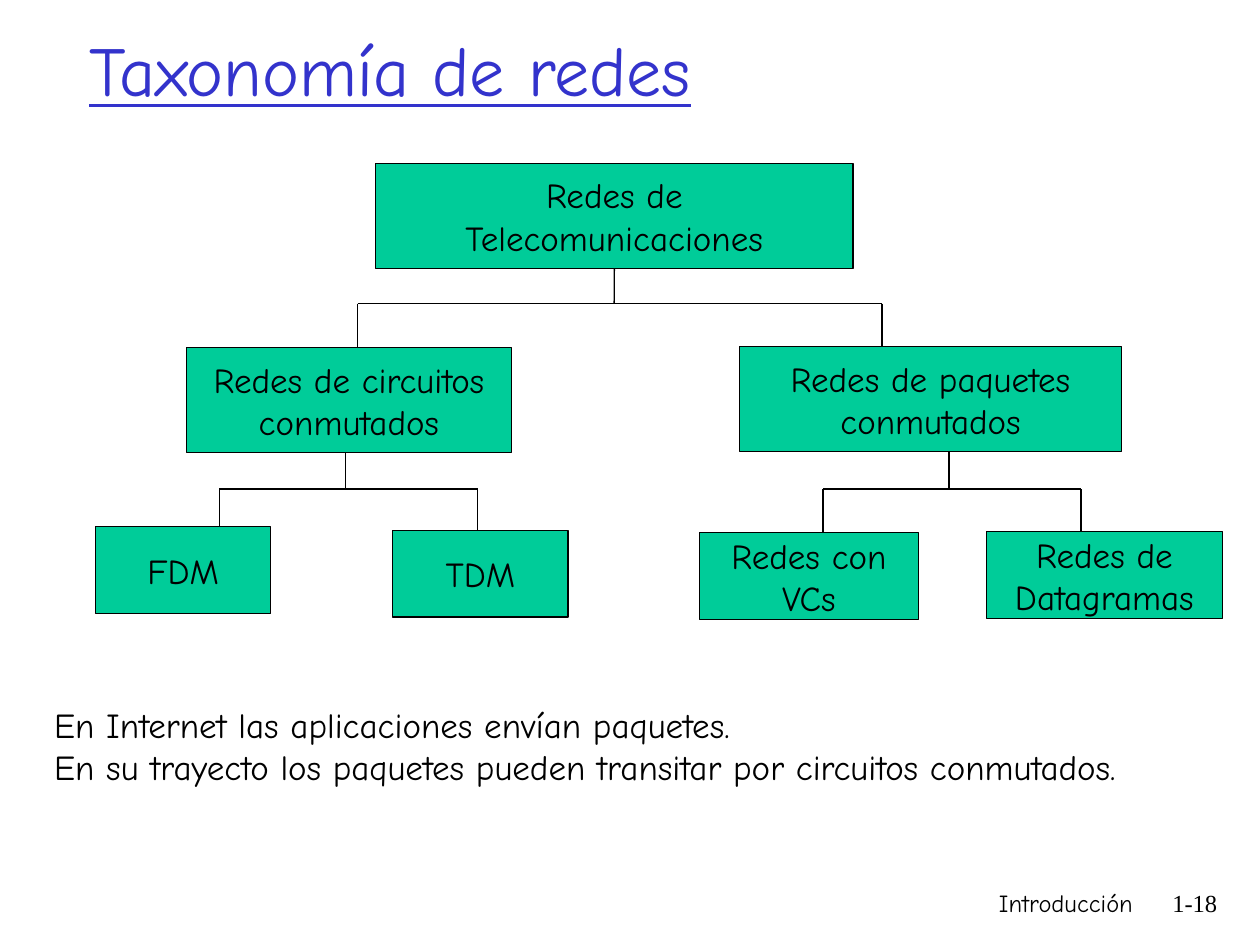
from lxml.etree import SubElement
from pptx import Presentation
from pptx.dml.color import RGBColor
from pptx.enum.shapes import MSO_CONNECTOR, MSO_SHAPE
from pptx.enum.text import MSO_ANCHOR, PP_ALIGN
from pptx.oxml.ns import qn
from pptx.util import Cm, Pt

COLORS = {"title": "3333CC", "box": "00CC99", "ink": "000000"}
FONT = "Comic Neue"

presentation = Presentation()
presentation.slide_width = Cm(25.4)
presentation.slide_height = Cm(19.05)
slide = presentation.slides.add_slide(presentation.slide_layouts[6])


def add_styled_run(paragraph, text, size, color="ink", font=FONT):
    run = paragraph.add_run()
    run.text = text
    run.font.size = Pt(size)
    run.font.name = font
    run.font.color.rgb = RGBColor.from_string(COLORS[color])
    return run


def add_line(start_x, start_y, end_x, end_y):
    line = slide.shapes.add_connector(
        MSO_CONNECTOR.STRAIGHT, Cm(start_x), Cm(start_y), Cm(end_x), Cm(end_y))
    line.line.color.rgb = RGBColor.from_string(COLORS["ink"])
    line.line.width = Pt(0.75)
    SubElement(line.element.spPr, qn("a:effectLst"))
    return line


# Title
title = slide.shapes.add_textbox(Cm(1.55), Cm(0), Cm(21.59), Cm(2.77))
title.text_frame.word_wrap = True
title.text_frame.vertical_anchor = MSO_ANCHOR.MIDDLE
title_run = add_styled_run(
    title.text_frame.paragraphs[0], "Taxonomía de redes", 40, "title")
title_run.font.underline = True

# Boxes of the tree: left, top, width, height, lines of text
boxes = {
    "telecom": (7.57, 3.3, 9.63, 2.11, ["Redes de", "Telecomunicaciones"]),
    "circuits": (3.76, 7.01, 6.55, 2.11, ["Redes de circuitos", "conmutados"]),
    "packets": (14.91, 6.99, 7.7, 2.11, ["Redes de paquetes", "conmutados"]),
    "fdm": (1.93, 10.62, 3.53, 1.75, ["FDM"]),
    "tdm": (7.92, 10.69, 3.53, 1.75, ["TDM"]),
    "vcs": (14.1, 10.74, 4.42, 1.75, ["Redes con", "VCs"]),
    "datagrams": (19.89, 10.72, 4.75, 1.75, ["Redes de", "Datagramas"]),
}
box_shapes = {}
for name, (left, top, width, height, lines) in boxes.items():
    shape = slide.shapes.add_shape(
        MSO_SHAPE.RECTANGLE, Cm(left), Cm(top), Cm(width), Cm(height))
    shape.shadow.inherit = False
    shape.fill.solid()
    shape.fill.fore_color.rgb = RGBColor.from_string(COLORS["box"])
    shape.line.color.rgb = RGBColor.from_string(COLORS["ink"])
    shape.line.width = Pt(0.75)
    shape.text_frame.word_wrap = False
    shape.text_frame.vertical_anchor = MSO_ANCHOR.MIDDLE
    paragraph = shape.text_frame.paragraphs[0]
    paragraph.alignment = PP_ALIGN.CENTER
    for index, text in enumerate(lines):
        if index:
            paragraph.add_line_break()
        add_styled_run(paragraph, text, 20)
    box_shapes[name] = shape

# Branches: parent, stem x, bar y, then each child with the x of its drop
branches = [
    ("telecom", 12.38, 6.12, [("circuits", 7.21), ("packets", 17.78)]),
    ("circuits", 6.96, 9.86, [("fdm", 4.42), ("tdm", 9.63)]),
    ("packets", 19.13, 9.86, [("vcs", 16.59), ("datagrams", 21.79)]),
]
for parent, stem_x, bar_y, children in branches:
    parent_top, parent_height = boxes[parent][1], boxes[parent][3]
    stem = add_line(stem_x, parent_top + parent_height, stem_x, bar_y)
    if parent == "telecom":
        stem.begin_connect(box_shapes[parent], 2)
    add_line(children[0][1], bar_y, children[1][1], bar_y)
    for child, drop_x in children:
        add_line(drop_x, bar_y, drop_x, boxes[child][1])

# Remarks below the tree
remarks = slide.shapes.add_textbox(Cm(0.84), Cm(14.05), Cm(23.6), Cm(2.9))
remarks.text_frame.word_wrap = True
remark_texts = [
    "En Internet las aplicaciones envían paquetes.",
    "En su trayecto los paquetes pueden transitar por circuitos conmutados.",
]
for index, text in enumerate(remark_texts):
    frame = remarks.text_frame
    paragraph = frame.add_paragraph() if index else frame.paragraphs[0]
    add_styled_run(paragraph, text, 20)

# Footer
for left, width, text, font in [
    (15.04, 8.05, "Introducción", FONT),
    (23.06, 1.73, "1-18", "Times New Roman"),
]:
    footer = slide.shapes.add_textbox(Cm(left), Cm(17.78), Cm(width), Cm(1.27))
    footer.text_frame.word_wrap = True
    paragraph = footer.text_frame.paragraphs[0]
    paragraph.alignment = PP_ALIGN.RIGHT
    add_styled_run(paragraph, text, 14, font=font)

presentation.save("out.pptx")
